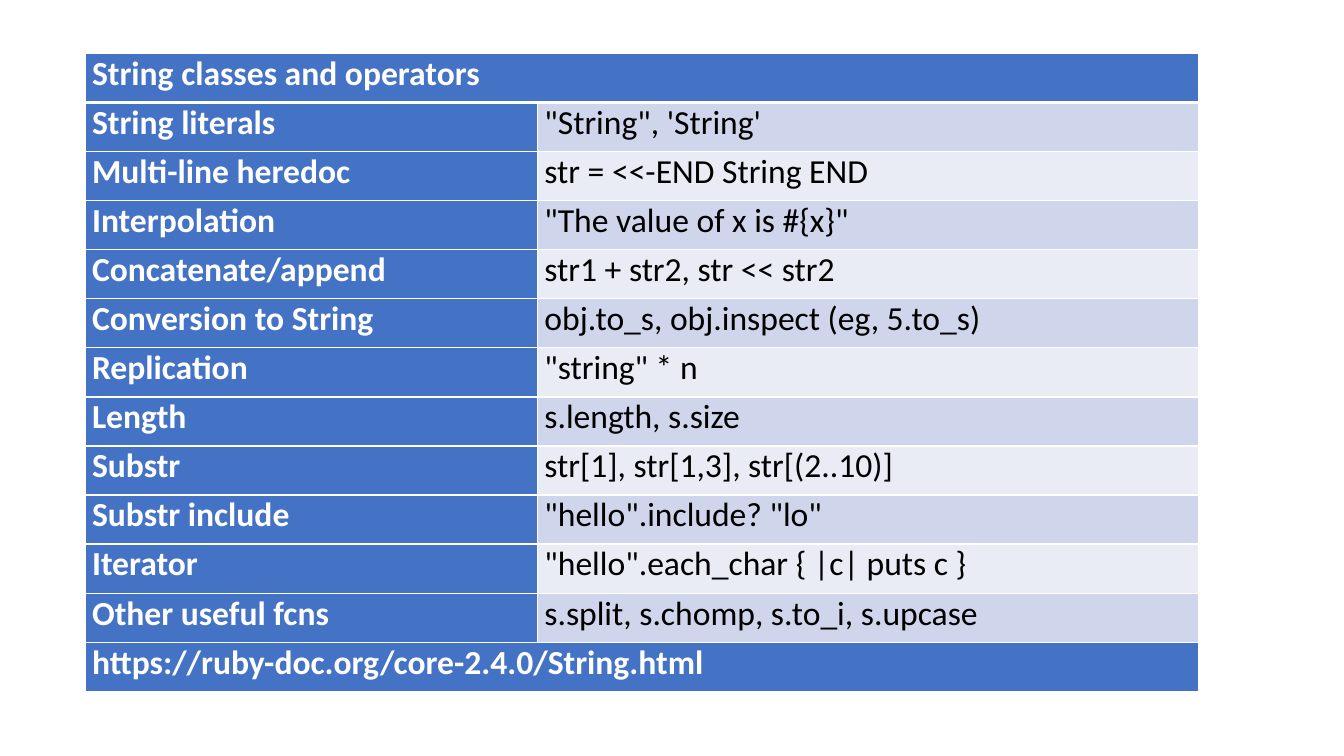
from lxml import etree
from pptx import Presentation
from pptx.dml.color import RGBColor
from pptx.oxml.ns import qn
from pptx.util import Cm, Pt

COLORS = {
    "label": "4472C4",
    "odd_row": "CFD5EA",
    "even_row": "E9EBF5",
    "light": "FFFFFF",
    "dark": "000000",
}
FONT = "Calibri"
BLANK_LAYOUT = 6

HEADING = "String classes and operators"
REFERENCE = "https://ruby-doc.org/core-2.4.0/String.html"
OPERATIONS = [
    ("String literals", "\"String\", 'String'"),
    ("Multi-line heredoc", "str = <<-END String END"),
    ("Interpolation", '"The value of x is #{x}"'),
    ("Concatenate/append", "str1 + str2, str << str2"),
    ("Conversion to String", "obj.to_s, obj.inspect (eg, 5.to_s)"),
    ("Replication", '"string" * n'),
    ("Length", "s.length, s.size"),
    ("Substr", "str[1], str[1,3], str[(2..10)]"),
    ("Substr include", '"hello".include? "lo"'),
    ("Iterator", '"hello".each_char { |c| puts c }'),
    ("Other useful fcns", "s.split, s.chomp, s.to_i, s.upcase"),
]
ROWS = [(HEADING, ""), *OPERATIONS, (REFERENCE, "")]
COLUMN_WIDTHS = [Cm(11.4), Cm(16.67)]
TABLE_HEIGHT = Cm(16.08)


def add_borders(cell, top, bottom):
    """Draw white cell borders; top and bottom widths are in points."""
    properties = cell._tc.get_or_add_tcPr()
    for side, width in (("L", 1), ("R", 1), ("T", top), ("B", bottom)):
        line = etree.SubElement(properties, qn(f"a:ln{side}"), w=str(Pt(width)))
        fill = etree.SubElement(line, qn("a:solidFill"))
        etree.SubElement(fill, qn("a:srgbClr"), val=COLORS["light"])


def fill_cell(cell, text, fill, color, bold):
    """Set the fill, margins and text of one cell."""
    cell.fill.solid()
    cell.fill.fore_color.rgb = RGBColor.from_string(COLORS[fill])
    cell.margin_left = cell.margin_right = Cm(0.18)
    cell.margin_top = cell.margin_bottom = 0
    if text:
        span = cell.text_frame.paragraphs[0].add_run()
        span.text = text
        span.font.name = FONT
        span.font.size = Pt(24)
        span.font.bold = bold
        span.font.color.rgb = RGBColor.from_string(COLORS[color])


deck = Presentation()
deck.slide_width = Cm(33.87)
deck.slide_height = Cm(19.05)
page = deck.slides.add_slide(deck.slide_layouts[BLANK_LAYOUT])

table = page.shapes.add_table(
    len(ROWS), len(COLUMN_WIDTHS), Cm(2.14), Cm(1.35), sum(COLUMN_WIDTHS), TABLE_HEIGHT
).table
for column, width in zip(table.columns, COLUMN_WIDTHS):
    column.width = width

for index, (label, example) in enumerate(ROWS):
    for cell in table.rows[index].cells:
        add_borders(cell, top=3 if index == 1 else 1, bottom=3 if index == 0 else 1)
    label_cell, example_cell = table.rows[index].cells
    fill_cell(label_cell, label, "label", "light", True)
    if example:
        band = "odd_row" if index % 2 else "even_row"
        fill_cell(example_cell, example, band, "dark", False)
    else:
        fill_cell(example_cell, "", "label", "light", True)
        label_cell.merge(example_cell)

deck.save("out.pptx")
